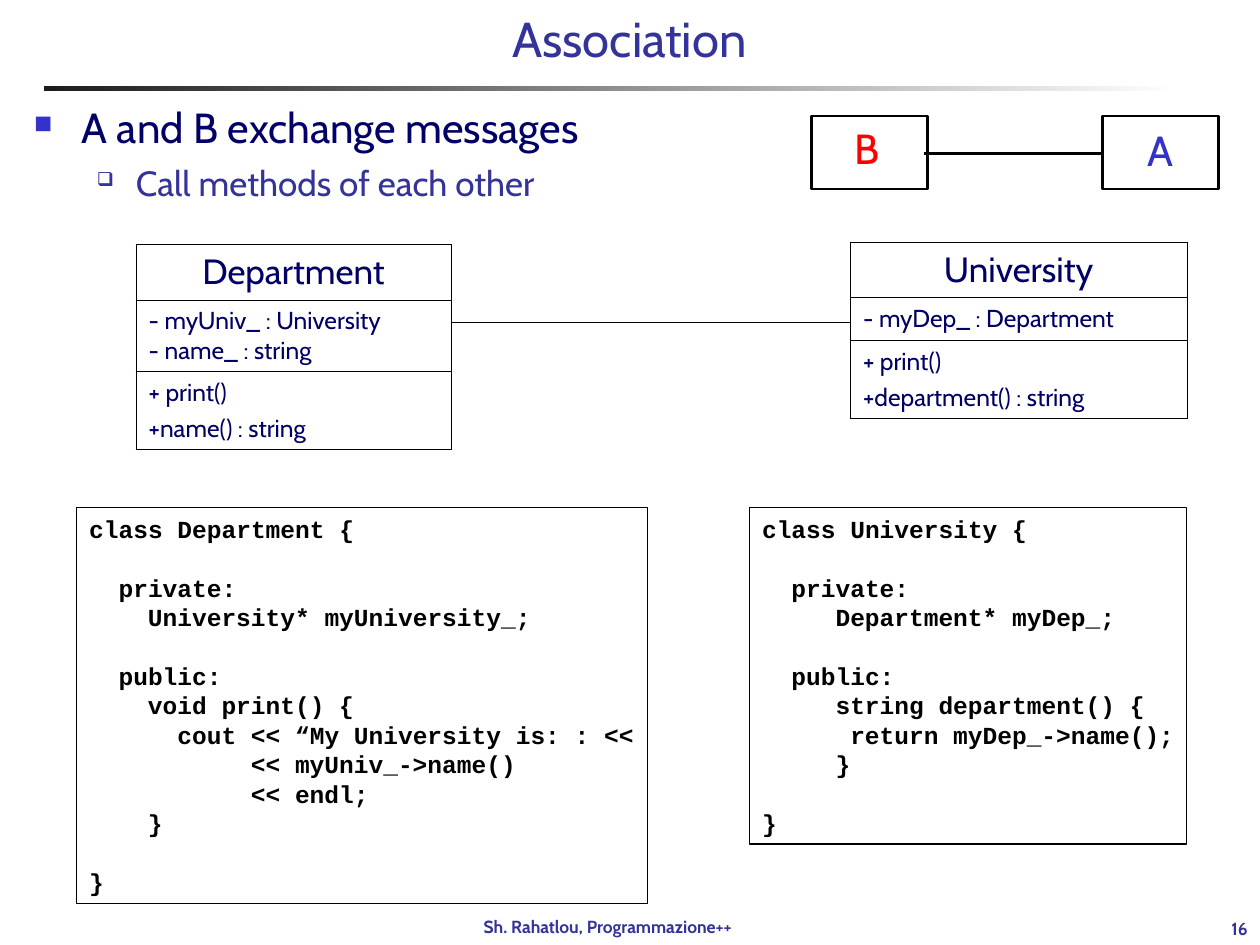
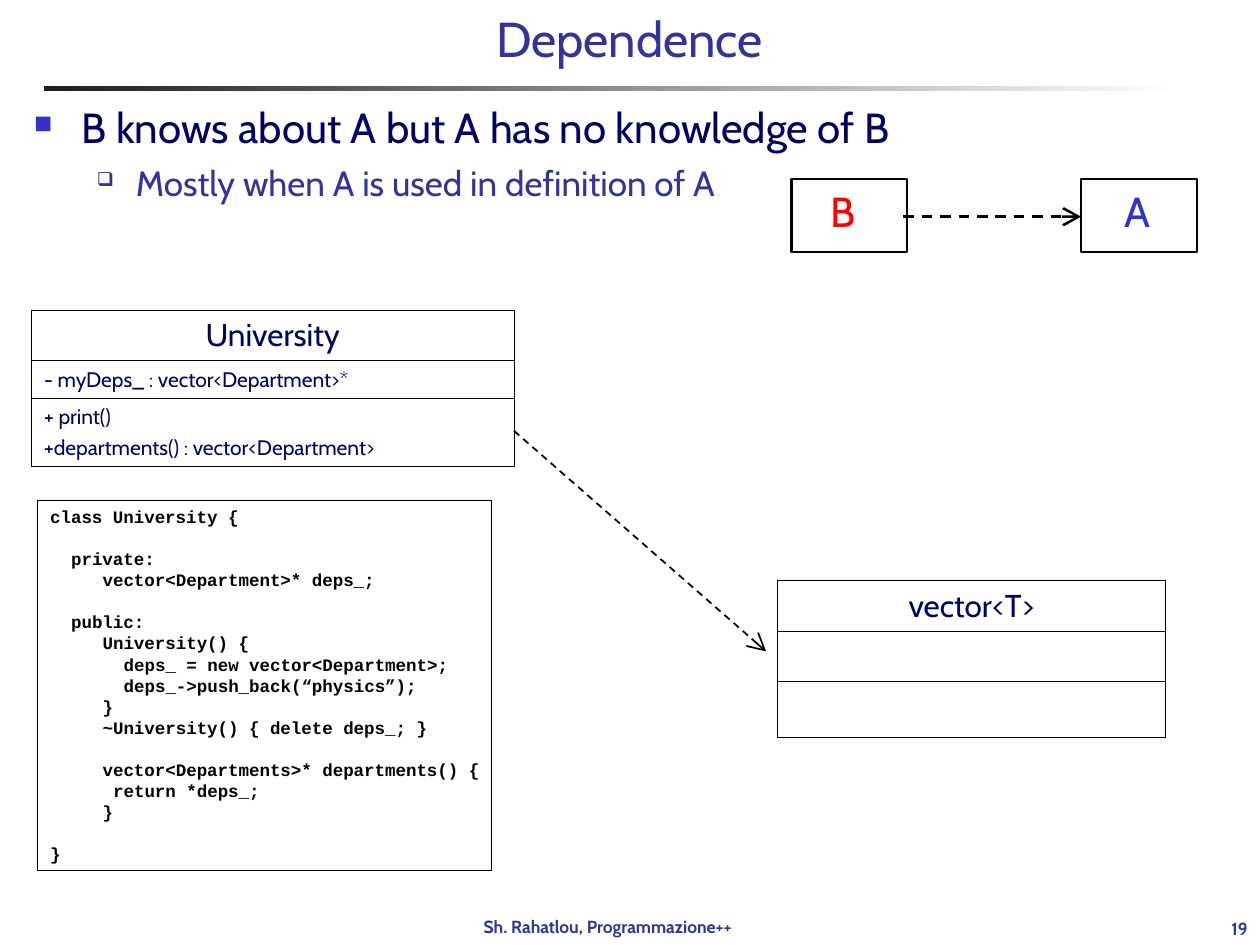
from dataclasses import dataclass
from typing import NamedTuple

from lxml.etree import SubElement
from pptx import Presentation
from pptx.dml.color import RGBColor
from pptx.enum.dml import MSO_LINE
from pptx.enum.shapes import MSO_CONNECTOR, MSO_SHAPE
from pptx.enum.text import MSO_ANCHOR, PP_ALIGN
from pptx.oxml.ns import qn
from pptx.presentation import Presentation as Deck
from pptx.slide import Slide
from pptx.table import _Cell
from pptx.text.text import TextFrame, _Paragraph
from pptx.util import Inches, Pt

BODY_FONT, CODE_FONT = "Cabin", "Courier New"
BLACK, NAVY, INDIGO, BLUE, RED = "000000", "000066", "333399", "3333CC", "FF0000"
FOOTER = "Sh. Rahatlou, Programmazione++"
ROLE_WIDTH, ROLE_HEIGHT = 0.92, 0.58
CODE_CHARACTER, CODE_LINE = 0.6, 1.2


class Box(NamedTuple):
    left: float
    top: float
    width: float
    height: float


class Bullet(NamedTuple):
    symbol: str
    symbol_color: str
    symbol_percent: int
    size: int
    color: str
    margin: float
    hanging: float


class Role(NamedTuple):
    name: str
    color: str
    left: float
    top: float
    label_left: float
    label_top: float


class Link(NamedTuple):
    start: tuple[float, float]
    end: tuple[float, float]
    weight: float
    dashed: bool = False


@dataclass
class ClassDiagram:
    box: Box
    rows: list[float]
    title: str
    attributes: str
    methods: str
    title_size: int
    member_size: int


@dataclass
class CodeListing:
    box: Box
    size: int
    code: str


@dataclass
class Lesson:
    title: str
    number: str
    points: list[str]
    links: list[Link]
    roles: list[Role]
    diagrams: list[ClassDiagram]
    listings: list[CodeListing]


BULLETS = [
    Bullet("■", BLUE, 60, 24, NAVY, 0.38, 0.38),
    Bullet("❑", INDIGO, 55, 20, INDIGO, 0.81, 0.31),
]

DEPARTMENT_CODE = """class Department {

  private:
    University* myUniversity_;

  public:
    void print() {
      cout << “My University is: : <<
           << myUniv_->name()
           << endl;
    }

}"""

UNIVERSITY_CODE = """class University {

  private:
     Department* myDep_;

  public:
     string department() {
      return myDep_->name();
     }

}"""

VECTOR_CODE = """class University {

  private:
     vector<Department>* deps_;

  public:
     University() {
       deps_ = new vector<Department>;
       deps_->push_back(“physics”);
     }
     ~University() { delete deps_; }

     vector<Departments>* departments() {
      return *deps_;
     }

}"""

LESSONS = [
    Lesson(
        "Association", "16",
        ["A and B exchange messages", "Call methods of each other"],
        [Link((7.33, 1.22), (8.75, 1.22), 1.5), Link((3.58, 2.56), (6.75, 2.56), 0.75)],
        [Role("B", RED, 6.44, 0.92, 6.68, 0.92), Role("A", BLUE, 8.75, 0.92, 9.01, 0.94)],
        [
            ClassDiagram(Box(1.08, 1.94, 2.5, 1.63), [0.44, 0.57, 0.62], "Department",
                         "- myUniv_ : University\n- name_ : string",
                         "+ print()\n+name() : string", 20, 14),
            ClassDiagram(Box(6.75, 1.92, 2.67, 1.4), [0.44, 0.34, 0.62], "University",
                         "- myDep_ : Department",
                         "+ print()\n+department() : string", 20, 14),
        ],
        [
            CodeListing(Box(0.61, 4.03, 4.53, 3.14), 14, DEPARTMENT_CODE),
            CodeListing(Box(5.95, 4.03, 3.47, 2.67), 14, UNIVERSITY_CODE),
        ],
    ),
    Lesson(
        "Dependence", "19",
        ["B knows about A but A has no knowledge of B", "Mostly when A is used in definition of A"],
        [Link((7.17, 1.72), (8.58, 1.72), 1.5, True), Link((4.08, 3.42), (6.08, 5.17), 1, True)],
        [Role("B", RED, 6.28, 1.42, 6.49, 1.42), Role("A", BLUE, 8.58, 1.42, 8.83, 1.42)],
        [
            ClassDiagram(Box(0.25, 2.46, 3.83, 1.24), [0.4, 0.3, 0.54], "University",
                         "- myDeps_ : vector<Department>*",
                         "+ print()\n+departments() : vector<Department>", 18, 12),
            ClassDiagram(Box(6.17, 4.61, 3.08, 1.24), [0.4, 0.4, 0.44], "vector<T>",
                         "", "", 18, 12),
        ],
        [CodeListing(Box(0.3, 3.97, 3.6, 2.94), 10, VECTOR_CODE)],
    ),
]


def rgb(color: str) -> RGBColor:
    return RGBColor.from_string(color)


def in_inches(box: Box) -> list[Inches]:
    return [Inches(length) for length in box]


def style(paragraph: _Paragraph, size: float, color: str, bold: bool = False,
          font: str = BODY_FONT) -> None:
    for run in paragraph.runs:
        run.font.name = font
        run.font.size = Pt(size)
        run.font.bold = bold
        run.font.color.rgb = rgb(color)


def next_paragraph(text_frame: TextFrame, index: int) -> _Paragraph:
    return text_frame.add_paragraph() if index else text_frame.paragraphs[0]


def add_label(slide: Slide, box: Box, text: str, size: int, color: str, bold: bool = False,
              wrap: bool = False, align: PP_ALIGN = PP_ALIGN.LEFT) -> TextFrame:
    text_frame = slide.shapes.add_textbox(*in_inches(box)).text_frame
    text_frame.word_wrap = wrap
    text_frame.text = text
    text_frame.paragraphs[0].alignment = align
    style(text_frame.paragraphs[0], size, color, bold)
    return text_frame


def add_frame(slide: Slide, lesson: Lesson) -> None:
    band = slide.shapes.add_shape(MSO_SHAPE.RECTANGLE, *in_inches(Box(0.35, 0.68, 9, 0.04)))
    band.shadow.inherit = False
    band.line.fill.background()
    band.fill.gradient()
    band.fill.gradient_angle = 0
    for stop, position, color in zip(band.fill.gradient_stops, (0, 1), ("1C1C1C", "FFFFFF")):
        stop.position = position
        stop.color.rgb = rgb(color)
    add_label(slide, Box(3.74, 7.22, 2.49, 0.27), FOOTER, 10, INDIGO, True)
    number = add_label(slide, Box(8.92, 7.25, 1.08, 0.25), lesson.number, 10, INDIGO, True,
                       True, PP_ALIGN.RIGHT)
    number.vertical_anchor = MSO_ANCHOR.BOTTOM
    title = slide.shapes.title
    title.left, title.top, title.width, title.height = in_inches(Box(0.58, 0.02, 8.83, 0.67))
    title.text_frame.text = lesson.title
    title.text_frame.vertical_anchor = MSO_ANCHOR.TOP
    title.text_frame.paragraphs[0].alignment = PP_ALIGN.CENTER
    style(title.text_frame.paragraphs[0], 28, INDIGO)


def add_points(slide: Slide, points: list[str]) -> None:
    text_frame = slide.shapes.add_textbox(*in_inches(Box(0.17, 0.76, 9.63, 6.4))).text_frame
    text_frame.word_wrap = True
    for level, (point, bullet) in enumerate(zip(points, BULLETS)):
        paragraph = next_paragraph(text_frame, level)
        paragraph.text = point
        paragraph.level = level
        paragraph.space_before = Pt(bullet.size / 4)
        style(paragraph, bullet.size, bullet.color)
        properties = paragraph._p.get_or_add_pPr()
        properties.set("marL", str(Inches(bullet.margin)))
        properties.set("indent", str(Inches(-bullet.hanging)))
        SubElement(SubElement(properties, qn("a:buClr")), qn("a:srgbClr"), val=bullet.symbol_color)
        SubElement(properties, qn("a:buSzPct"), val=str(bullet.symbol_percent * 1000))
        SubElement(properties, qn("a:buChar"), char=bullet.symbol)


def add_link(slide: Slide, link: Link) -> None:
    ends = [Inches(length) for length in link.start + link.end]
    connector = slide.shapes.add_connector(MSO_CONNECTOR.STRAIGHT, *ends)
    connector.line.color.rgb = rgb(BLACK)
    connector.line.width = Pt(link.weight)
    if link.dashed:
        connector.line.dash_style = MSO_LINE.DASH
        SubElement(connector.line._get_or_add_ln(), qn("a:tailEnd"), type="arrow", w="lg", len="lg")
    SubElement(connector._element.spPr, qn("a:effectLst"))


def add_role(slide: Slide, role: Role) -> None:
    box = Box(role.left, role.top, ROLE_WIDTH, ROLE_HEIGHT)
    shape = slide.shapes.add_shape(MSO_SHAPE.RECTANGLE, *in_inches(box))
    shape.shadow.inherit = False
    shape.fill.background()
    shape.line.color.rgb = rgb(BLACK)
    shape.line.width = Pt(1.5)
    add_label(slide, Box(role.label_left, role.label_top, 0.41, 0.5), role.name, 24, role.color)


def set_borders(cell: _Cell) -> None:
    properties = cell._tc.get_or_add_tcPr()
    for position, side in enumerate(("lnL", "lnR", "lnT", "lnB")):
        border = properties.makeelement(qn(f"a:{side}"), {"w": str(Pt(0.45))})
        SubElement(SubElement(border, qn("a:solidFill")), qn("a:srgbClr"), val=BLACK)
        properties.insert(position, border)


def add_class_diagram(slide: Slide, diagram: ClassDiagram) -> None:
    table = slide.shapes.add_table(len(diagram.rows), 1, *in_inches(diagram.box)).table
    table.first_row = table.horz_banding = False
    contents = [
        ([diagram.title], diagram.title_size, PP_ALIGN.CENTER),
        ([diagram.attributes], diagram.member_size, PP_ALIGN.LEFT),
        (diagram.methods.split("\n"), diagram.member_size, PP_ALIGN.LEFT),
    ]
    for index, (lines, size, align) in enumerate(contents):
        table.rows[index].height = Inches(diagram.rows[index])
        cell = table.cell(index, 0)
        cell.fill.background()
        cell.vertical_anchor = MSO_ANCHOR.MIDDLE
        set_borders(cell)
        for line_index, line in enumerate(lines):
            paragraph = next_paragraph(cell.text_frame, line_index)
            paragraph.text = line
            paragraph.alignment = align
            paragraph.space_before = Pt(size / 4)
            style(paragraph, size, NAVY)


def add_code_listing(slide: Slide, listing: CodeListing) -> None:
    shape = slide.shapes.add_textbox(*in_inches(listing.box))
    shape.line.color.rgb = rgb(BLACK)
    shape.line.width = Pt(0.75)
    shape.text_frame.word_wrap = True
    shape.text_frame.margin_right = Inches(0)
    for index, block in enumerate(listing.code.split("\n\n")):
        for line_index, line in enumerate(block.split("\n")):
            paragraph = next_paragraph(shape.text_frame, index + line_index)
            paragraph.text = line.lstrip()
            style(paragraph, listing.size, BLACK, True, CODE_FONT)
            if index and not line_index:
                paragraph.space_before = Pt(CODE_LINE * listing.size)
            spaces = len(line) - len(line.lstrip())
            margin = Inches(spaces * CODE_CHARACTER * listing.size / 72)
            paragraph._p.get_or_add_pPr().set("marL", str(margin))


def add_lesson(presentation: Deck, lesson: Lesson) -> None:
    slide = presentation.slides.add_slide(presentation.slide_layouts.get_by_name("Title Only"))
    add_frame(slide, lesson)
    add_points(slide, lesson.points)
    for items, draw in ((lesson.links, add_link), (lesson.roles, add_role),
                        (lesson.listings, add_code_listing),
                        (lesson.diagrams, add_class_diagram)):
        for item in items:
            draw(slide, item)


def main() -> None:
    presentation = Presentation()
    presentation.slide_width, presentation.slide_height = Inches(10), Inches(7.5)
    for lesson in LESSONS:
        add_lesson(presentation, lesson)
    presentation.save("out.pptx")


if __name__ == "__main__":
    main()
